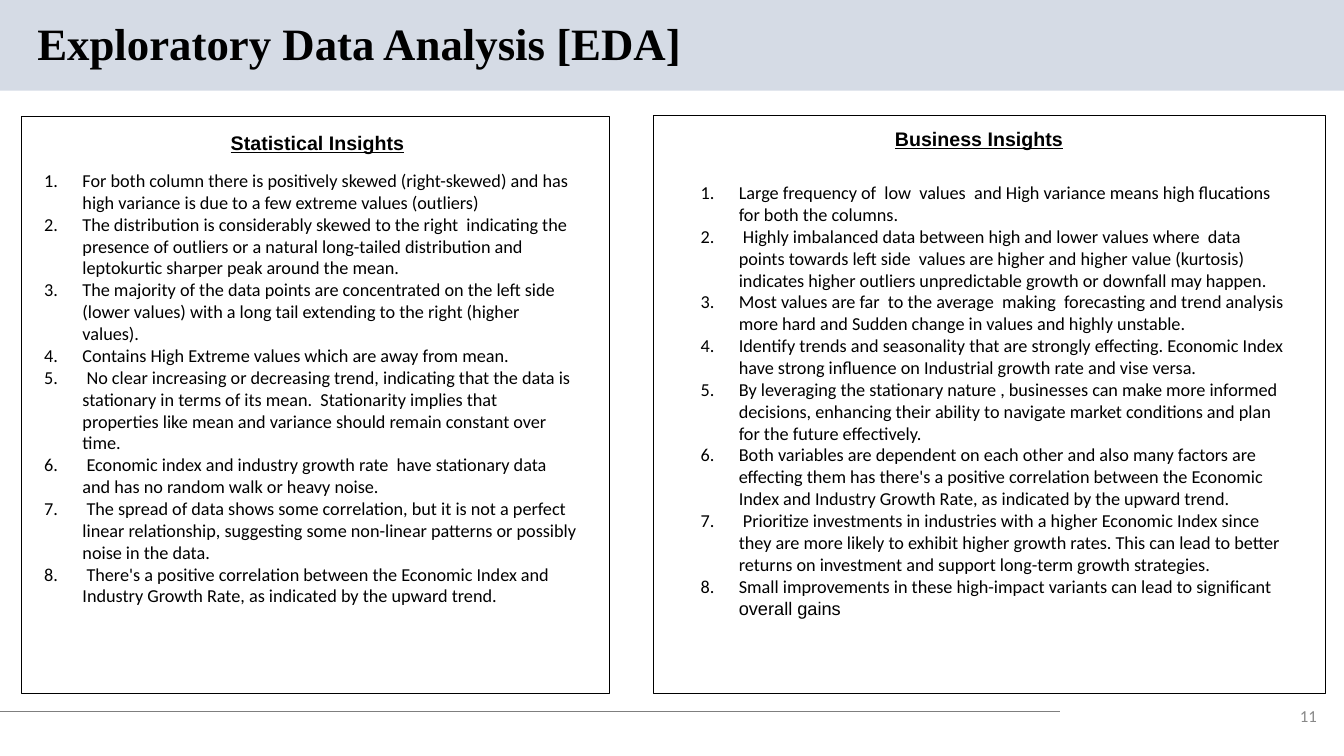
from dataclasses import dataclass

from lxml import etree
from pptx import Presentation
from pptx.dml.color import RGBColor
from pptx.enum.shapes import MSO_CONNECTOR, MSO_SHAPE
from pptx.enum.text import MSO_ANCHOR, MSO_AUTO_SIZE, PP_ALIGN
from pptx.oxml.ns import qn
from pptx.util import Emu, Pt

EMU_PER_PX = 9144  # 100 px to the inch
RECT, STRAIGHT = MSO_SHAPE.RECTANGLE, MSO_CONNECTOR.STRAIGHT
LEFT, CENTER, RIGHT = PP_ALIGN.LEFT, PP_ALIGN.CENTER, PP_ALIGN.RIGHT
TOP, MIDDLE = MSO_ANCHOR.TOP, MSO_ANCHOR.MIDDLE
NO_AUTOFIT = MSO_AUTO_SIZE.NONE


@dataclass(frozen=True)
class Theme:
    ink: str = "000000"
    band: str = "D5DBE5"
    rule: str = "7F7F7F"
    muted: str = "888888"
    title_font: str = "Times New Roman"
    heading_font: str = "Arial"
    body_font: str = "Calibri"
    title_size: int = 32
    heading_size: int = 14
    body_size: int = 13
    number_size: int = 12
    line_width: float = 0.75


@dataclass(frozen=True)
class Box:
    x: int
    y: int
    w: int
    h: int


@dataclass(frozen=True)
class Panel:
    heading: str
    frame: Box
    heading_box: Box
    list_box: Box
    list_inset: int
    items: tuple[str, ...]
    tail: str = ""  # end of the last item, in the heading font


THEME = Theme()
INDENT = 38

PANELS = (
    Panel(
        "Statistical Insights",
        Box(21, 116, 584, 572), Box(21, 125, 588, 25), Box(34, 158, 547, 493), 10,
        (
            "For both column there is positively skewed (right-skewed) and has high variance "
            "is due to a few extreme values (outliers)",
            "The distribution is considerably skewed to the right  indicating the presence of "
            "outliers or a natural long-tailed distribution and  leptokurtic sharper peak "
            "around the mean.",
            "The majority of the data points are concentrated on the left side (lower values) "
            "with a long tail extending to the right (higher values).",
            "Contains High Extreme values which are away from mean.",
            " No clear increasing or decreasing trend, indicating that the data is stationary "
            "in terms of its mean.  Stationarity implies that properties like mean and "
            "variance should remain constant over time.",
            " Economic index and industry growth rate  have stationary data and has no random "
            "walk or heavy noise.",
            " The spread of data shows some correlation, but it is not a perfect linear "
            "relationship, suggesting some non-linear patterns or possibly noise in the data.",
            " There's a positive correlation between the Economic Index and Industry Growth "
            "Rate, as indicated by the upward trend.",
        ),
    ),
    Panel(
        "Business Insights",
        Box(648, 115, 667, 573), Box(677, 121, 588, 33), Box(685, 175, 603, 448), 5,
        (
            "Large frequency of  low  values  and High variance means high flucations for both "
            "the columns.",
            " Highly imbalanced data between high and lower values where  data points towards "
            "left side  values are higher and higher value (kurtosis) indicates higher "
            "outliers unpredictable growth or downfall may happen.",
            "Most values are far  to the average  making  forecasting and trend analysis more "
            "hard and Sudden change in values and highly unstable.",
            "Identify trends and seasonality that are strongly effecting. Economic Index have "
            "strong influence on Industrial growth rate and vise versa.",
            "By leveraging the stationary nature , businesses can make more informed "
            "decisions, enhancing their ability to navigate market conditions and plan for "
            "the future effectively.",
            "Both variables are dependent on each other and also many factors are effecting "
            "them has there's a positive correlation between the Economic Index and Industry "
            "Growth Rate, as indicated by the upward trend.",
            " Prioritize investments in industries with a higher Economic Index since they are "
            "more likely to exhibit higher growth rates. This can lead to better returns on "
            "investment and support long-term growth strategies.",
            "Small improvements in these high-impact variants can lead to significant ",
        ),
        "overall gains",
    ),
)


def px(n: int) -> Emu:
    return Emu(n * EMU_PER_PX)


def bounds(box: Box) -> tuple[Emu, Emu, Emu, Emu]:
    return px(box.x), px(box.y), px(box.w), px(box.h)


def style(r, size: int, font: str, color: str = THEME.ink, bold: bool = False,
          underline: bool = False) -> None:
    r.font.size, r.font.name = Pt(size), font
    r.font.color.rgb = RGBColor.from_string(color)
    r.font.bold, r.font.underline = bold, underline


def set_frame(tf, inset_y: int = 5, anchor=TOP) -> None:
    tf.word_wrap, tf.auto_size, tf.vertical_anchor = True, NO_AUTOFIT, anchor
    tf.margin_left = tf.margin_right = px(10)
    tf.margin_top = tf.margin_bottom = px(inset_y)


def add_rect(s, box: Box, fill: str = "", line: str = ""):
    sp = s.shapes.add_shape(RECT, *bounds(box))
    sp.shadow.inherit = False
    if fill:
        sp.fill.solid()
        sp.fill.fore_color.rgb = RGBColor.from_string(fill)
    else:
        sp.fill.background()
    if line:
        sp.line.color.rgb = RGBColor.from_string(line)
        sp.line.width = Pt(THEME.line_width)
    else:
        sp.line.fill.background()
    return sp


def add_label(s, box: Box, text: str, align, anchor=TOP):
    tf = s.shapes.add_textbox(*bounds(box)).text_frame
    set_frame(tf, anchor=anchor)
    tf.text = text
    p = tf.paragraphs[0]
    p.alignment = align
    return p.runs[0]


def number(p) -> None:
    pPr = p._p.get_or_add_pPr()
    pPr.set("marL", str(px(INDENT)))
    pPr.set("indent", str(px(-INDENT)))
    color = etree.SubElement(pPr, qn("a:buClr"))
    etree.SubElement(color, qn("a:srgbClr"), val=THEME.ink)
    etree.SubElement(pPr, qn("a:buFont"), typeface="+mj-lt")
    etree.SubElement(pPr, qn("a:buAutoNum"), type="arabicPeriod")


def add_panel(s, panel: Panel) -> None:
    add_rect(s, panel.frame, line=THEME.ink)
    r = add_label(s, panel.heading_box, panel.heading, CENTER)
    style(r, THEME.heading_size, THEME.heading_font, bold=True, underline=True)
    tf = s.shapes.add_textbox(*bounds(panel.list_box)).text_frame
    set_frame(tf, panel.list_inset)
    tf.text = "\n".join(panel.items)
    for p in tf.paragraphs:
        number(p)
        style(p.runs[0], THEME.body_size, THEME.body_font)
    if panel.tail:
        r = tf.paragraphs[-1].add_run()
        r.text = panel.tail
        style(r, THEME.body_size, THEME.heading_font)


def main() -> None:
    prs = Presentation()
    prs.slide_width, prs.slide_height = px(1333), px(750)
    s = prs.slides.add_slide(prs.slide_layouts.get_by_name("Title Only"))

    # Title on its band
    title = s.shapes.title
    title.left, title.top, title.width, title.height = bounds(Box(27, 16, 1011, 59))
    set_frame(title.text_frame, anchor=MIDDLE)
    title.text_frame.text = "Exploratory Data Analysis [EDA]"
    p = title.text_frame.paragraphs[0]
    p.alignment, p.line_spacing = LEFT, 0.9
    style(p.runs[0], THEME.title_size, THEME.title_font, bold=True)
    band = add_rect(s, Box(0, 0, 1333, 90), fill=THEME.band)
    title.element.addprevious(band.element)

    # Footer rule and page number
    rule = s.shapes.add_connector(STRAIGHT, px(0), px(706), px(1051), px(706))
    rule.line.color.rgb = RGBColor.from_string(THEME.rule)
    rule.line.width = Pt(THEME.line_width)
    etree.SubElement(rule.element.spPr, qn("a:effectLst"))
    r = add_label(s, Box(1273, 694, 43, 32), "11", RIGHT, MIDDLE)
    style(r, THEME.number_size, THEME.body_font, THEME.muted)

    # Insight panels
    for panel in PANELS:
        add_panel(s, panel)

    prs.save("out.pptx")


if __name__ == "__main__":
    main()
